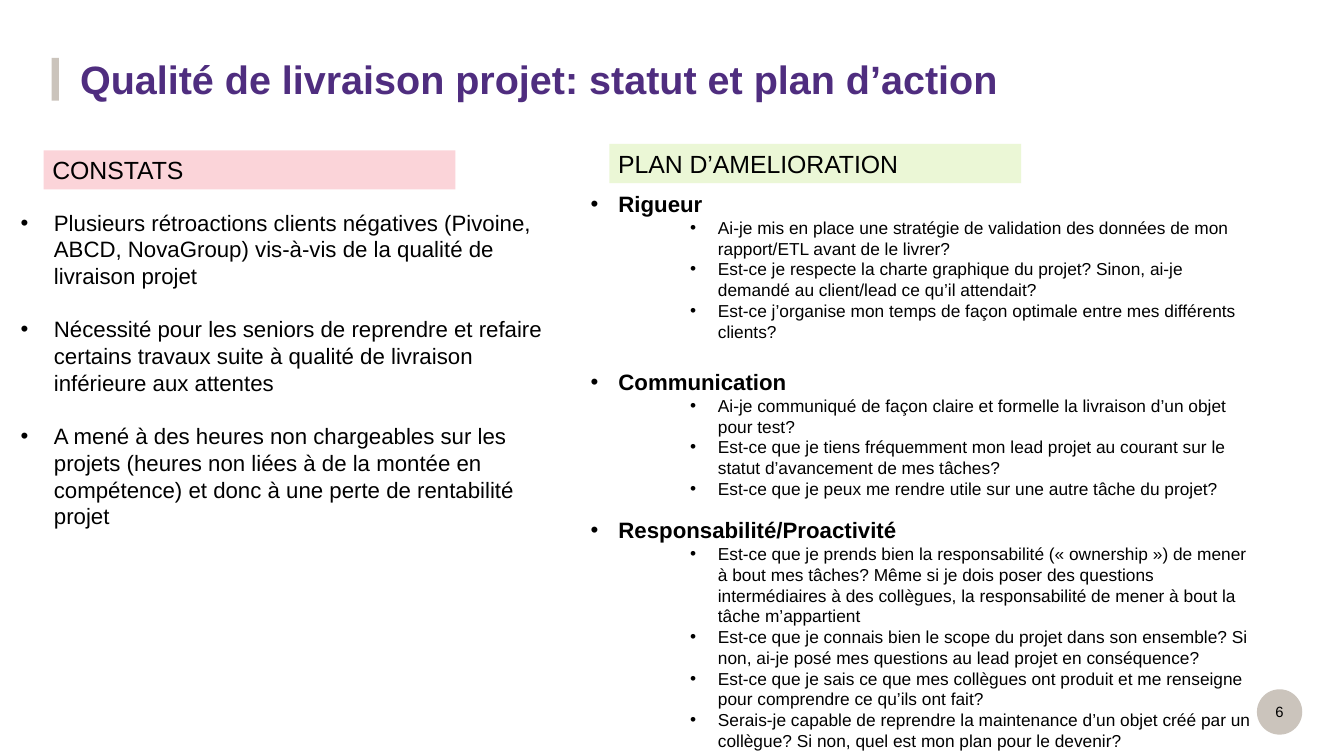
from lxml.etree import SubElement
from pptx import Presentation
from pptx.dml.color import RGBColor
from pptx.enum.shapes import MSO_SHAPE
from pptx.enum.text import MSO_ANCHOR, MSO_AUTO_SIZE, PP_ALIGN
from pptx.oxml.ns import qn
from pptx.util import Pt

# Content
TITLE = "Qualité de livraison projet: statut et plan d’action"
PAGE = "6"
FINDINGS = [
    "Plusieurs rétroactions clients négatives (Pivoine, ABCD, NovaGroup) vis-à-vis de la qualité de livraison projet",
    "Nécessité pour les seniors de reprendre et refaire certains travaux suite à qualité de livraison inférieure aux attentes",
    "A mené à des heures non chargeables sur les projets (heures non liées à de la montée en compétence) et donc à une perte de rentabilité projet",
]
# Theme, space before it, questions
PLAN = [
    ("Rigueur", 0, [
        "Ai-je mis en place une stratégie de validation des données de mon rapport/ETL avant de le livrer?",
        "Est-ce je respecte la charte graphique du projet? Sinon, ai-je demandé au client/lead ce qu’il attendait?",
        "Est-ce j’organise mon temps de façon optimale entre mes différents clients?",
    ]),
    ("Communication", 21.6, [
        "Ai-je communiqué de façon claire et formelle la livraison d’un objet pour test?",
        "Est-ce que je tiens fréquemment mon lead projet au courant sur le statut d’avancement de mes tâches?",
        "Est-ce que je peux me rendre utile sur une autre tâche du projet?",
    ]),
    ("Responsabilité/Proactivité", 14.4, [
        "Est-ce que je prends bien la responsabilité (« ownership ») de mener à bout mes tâches? Même si je dois poser des questions intermédiaires à des collègues, la responsabilité de mener à bout la tâche m’appartient",
        "Est-ce que je connais bien le scope du projet dans son ensemble? Si non, ai-je posé mes questions au lead projet en conséquence?",
        "Est-ce que je sais ce que mes collègues ont produit et me renseigne pour comprendre ce qu’ils ont fait?",
        "Serais-je capable de reprendre la maintenance d’un objet créé par un collègue? Si non, quel est mon plan pour le devenir?",
    ]),
]

FONT = "Arial"
LEADING = 1.2
BLACK = RGBColor(0x00, 0x00, 0x00)
PURPLE = RGBColor(0x4F, 0x2D, 0x7F)
TAUPE = RGBColor(0xCB, 0xC4, 0xBC)
PINK = RGBColor(0xFB, 0xD4, 0xD9)
GREEN = RGBColor(0xEB, 0xF7, 0xD6)

# Left, top, width, height of each heading
HEADINGS = [
    ("CONSTATS", PINK, (35.3, 121.7, 333.4, 31.7)),
    ("PLAN D’AMELIORATION", GREEN, (493.2, 116.6, 333.4, 31.7)),
]


def place(sp, left, top, width, height):
    sp.left, sp.top, sp.width, sp.height = Pt(left), Pt(top), Pt(width), Pt(height)


def set_up(tf, anchor=MSO_ANCHOR.TOP):
    tf.word_wrap = True
    tf.auto_size = MSO_AUTO_SIZE.NONE
    tf.vertical_anchor = anchor


def write(p, text, size, color=BLACK, bold=False, align=PP_ALIGN.LEFT, before=0, leading=None):
    p.text = text
    p.alignment = align
    p.space_before = Pt(before)
    p.line_spacing = Pt(leading or round(size * LEADING, 1))
    for r in p.runs:
        r.font.name, r.font.size, r.font.bold = FONT, Pt(size), bold
        r.font.color.rgb = color


def add_block(shapes, kind, box, color):
    sp = shapes.add_shape(kind, *map(Pt, box))
    sp.shadow.inherit = False
    sp.fill.solid()
    sp.fill.fore_color.rgb = color
    sp.line.fill.background()
    return sp


def fill_list(sp, items):
    """Each item: text, size, bold, level, left margin, hanging indent, space before."""
    tf = sp.text_frame
    set_up(tf)
    for i, (text, size, bold, level, margin, hang, before) in enumerate(items):
        p = tf.add_paragraph() if i else tf.paragraphs[0]
        p.level = level
        pPr = p._p.get_or_add_pPr()
        pPr.set("marL", str(Pt(margin)))
        pPr.set("indent", str(-Pt(hang)))
        SubElement(pPr, qn("a:buFont")).set("typeface", FONT)
        SubElement(pPr, qn("a:buChar")).set("char", "•")
        write(p, text, size, bold=bold, before=before)


prs = Presentation()
prs.slide_width, prs.slide_height = Pt(1087.92), Pt(612)
s = prs.slides.add_slide(prs.slide_layouts[3])
title, findings, plan = s.placeholders

# Title and its bar
add_block(s.shapes, MSO_SHAPE.RECTANGLE, (41.8, 46.8, 5.8, 34.6), TAUPE)
place(title, 64.8, 41.8, 964.8, 84.2)
tf = title.text_frame
set_up(tf)
tf.margin_left = tf.margin_right = 0
write(tf.paragraphs[0], TITLE, 32, PURPLE, bold=True, leading=37.4)

# Page number
add_block(s.shapes, MSO_SHAPE.OVAL, (1017.4, 558, 36.7, 36.7), TAUPE)
number = s.shapes.add_textbox(*map(Pt, (1005.8, 566.6, 59.8, 19.4)))
tf = number.text_frame
set_up(tf, MSO_ANCHOR.MIDDLE)
tf.margin_left = tf.margin_right = 0
write(tf.paragraphs[0], PAGE, 12, align=PP_ALIGN.CENTER)

# Findings
place(findings, 9.4, 165.6, 447.1, 378)
fill_list(findings, [(text, 18, False, 0, 27, 27, 21.6 if i else 0)
                     for i, text in enumerate(FINDINGS)])

# Improvement plan
place(plan, 470.9, 150.5, 550.8, 461)
items = []
for theme, before, questions in PLAN:
    items.append((theme, 18, True, 0, 22.5, 22.5, before))
    items += [(question, 14, False, 2, 103, 22.5, 0) for question in questions]
fill_list(plan, items)

# Column headings
for text, color, box in HEADINGS:
    sp = add_block(s.shapes, MSO_SHAPE.RECTANGLE, box, color)
    set_up(sp.text_frame, MSO_ANCHOR.MIDDLE)
    write(sp.text_frame.paragraphs[0], text, 20.1)

prs.save("out.pptx")
